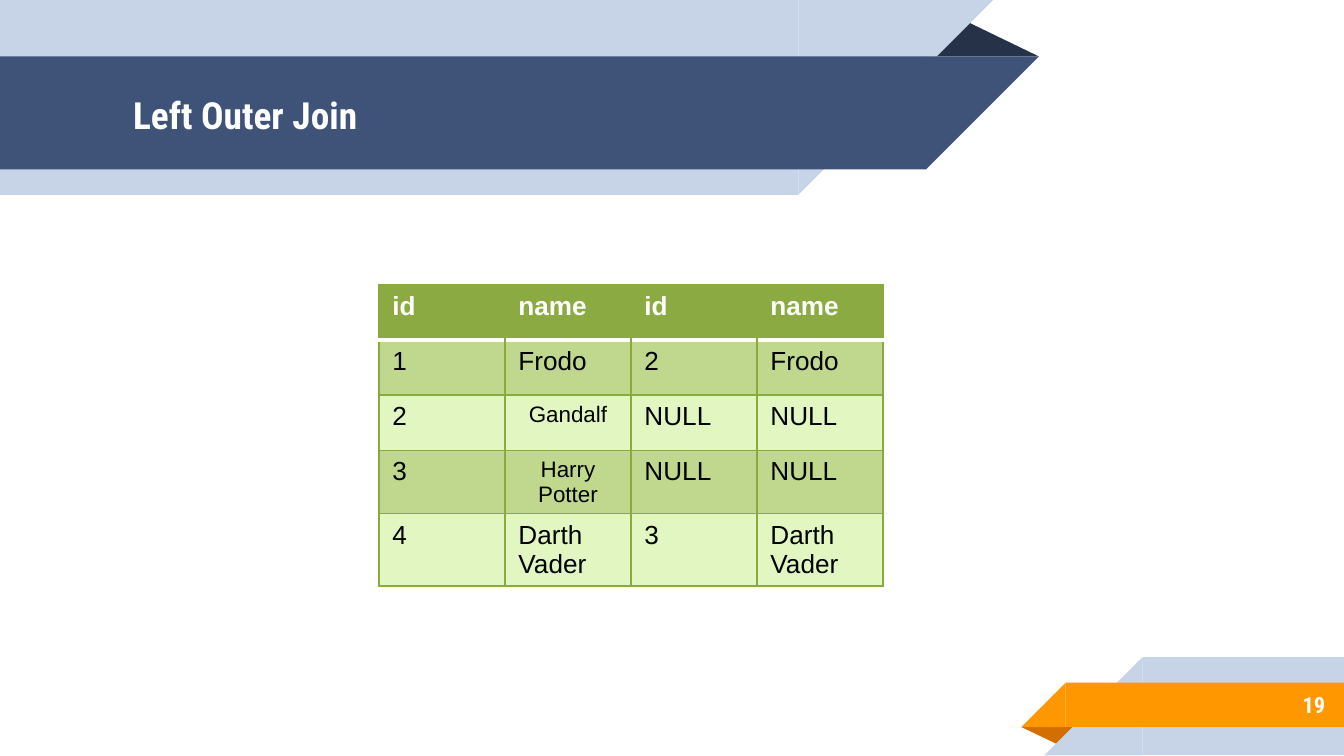
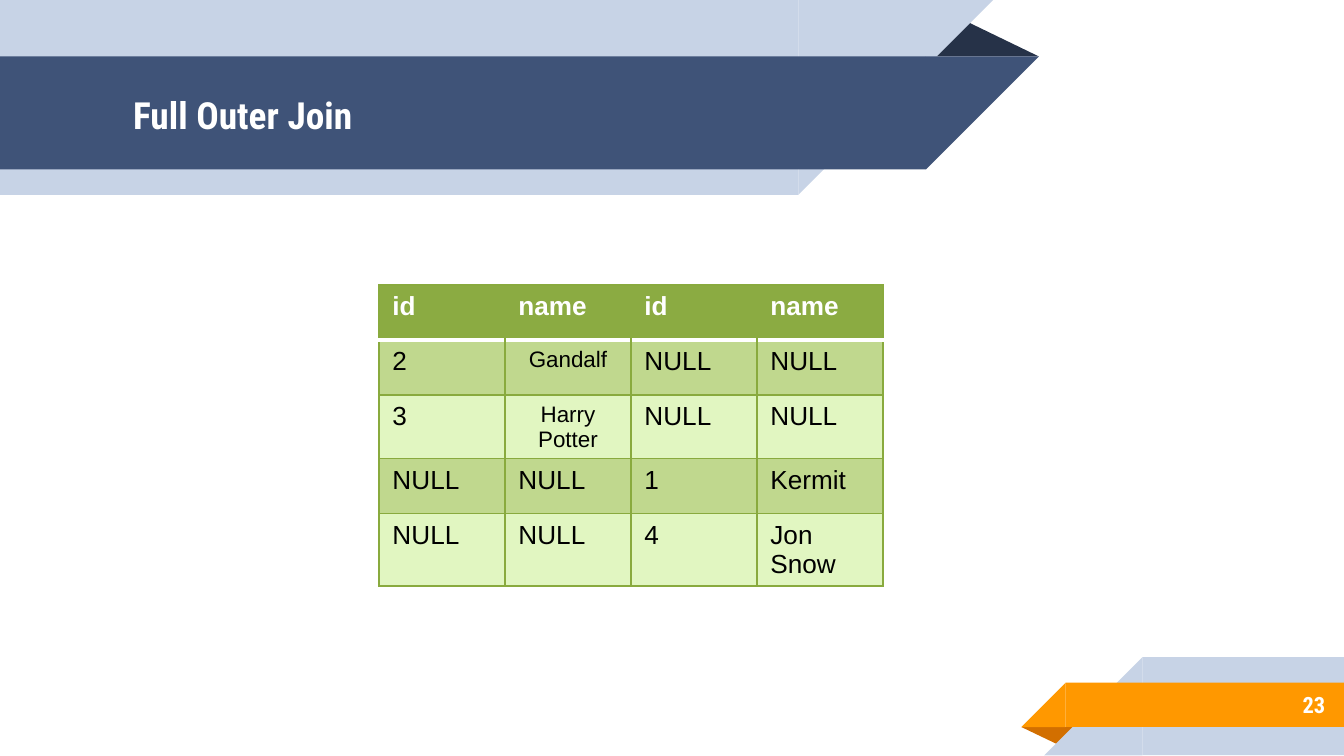
from lxml import etree
from pptx import Presentation
from pptx import util as u
from pptx.dml.color import RGBColor
from pptx.enum import shapes, text
from pptx.oxml import ns

# Shared colours and text formats
PALE, NAVY, DARK_NAVY = "C7D3E6", "3F5378", "263248"
ORANGE, DARK_ORANGE = "FF9800", "D26F00"
WHITE, BLACK = "FFFFFF", "000000"
HEADER_GREEN, LINE_GREEN = "8BAB42", "89AA3E"
ROW_GREENS = ("C0D88E", "E1F6C1")

TITLE_FORMAT = {"name": "Roboto Condensed", "size": u.Pt(20), "bold": True}
NUMBER_FORMAT = {"name": "Roboto Condensed", "size": u.Pt(12), "bold": True}
HEADER_FORMAT = {"name": "Arial", "size": u.Pt(14), "bold": True}
CELL_FORMAT = {"name": "Arial", "size": u.Pt(14), "bold": False}
SMALL_FORMAT = {"name": "Arial", "size": u.Pt(12), "bold": False}

RECTANGLE = shapes.MSO_SHAPE.RECTANGLE
CORNER = shapes.MSO_SHAPE.RIGHT_TRIANGLE
FOLD = shapes.MSO_SHAPE.ISOSCELES_TRIANGLE

# Bands from back to front: kind, box, colour, rotation
HEADER_BANDS = [
    (FOLD, (6.88, 0.14, 0.85, 0.28), DARK_NAVY, 0),
    (RECTANGLE, (0, 0, 5.94, 1.45), PALE, 0),
    (CORNER, (5.94, 0, 1.45, 1.45), PALE, 90),
    (RECTANGLE, (0, 0.42, 6.89, 0.84), NAVY, 0),
    (CORNER, (6.89, 0.42, 0.84, 0.84), NAVY, 90),
]
FOOTER_BANDS = [
    (FOLD, (7.6, 5.41, 0.43, 0.14), DARK_ORANGE, 180),
    (RECTANGLE, (8.5, 4.89, 1.5, 0.73), PALE, 0),
    (CORNER, (7.77, 4.89, 0.73, 0.73), PALE, 270),
    (RECTANGLE, (7.93, 5.08, 2.07, 0.33), ORANGE, 0),
    (CORNER, (7.6, 5.08, 0.33, 0.33), ORANGE, 270),
]

# Slide contents: title, slide number, joined rows
HEADINGS = ["id", "name", "id", "name"]
SMALL_NAMES = {"Gandalf", "Harry Potter"}
JOINS = [
    ("Left Outer Join", "19", [
        ["1", "Frodo", "2", "Frodo"],
        ["2", "Gandalf", "NULL", "NULL"],
        ["3", "Harry Potter", "NULL", "NULL"],
        ["4", "Darth Vader", "3", "Darth Vader"],
    ]),
    ("Full Outer Join", "23", [
        ["2", "Gandalf", "NULL", "NULL"],
        ["3", "Harry Potter", "NULL", "NULL"],
        ["NULL", "NULL", "1", "Kermit"],
        ["NULL", "NULL", "4", "Jon Snow"],
    ]),
]


def color(hex_string):
    return RGBColor.from_string(hex_string)


def inches(*lengths):
    return [u.Inches(length) for length in lengths]


def write(frame, words, font_format, font_color, align=text.PP_ALIGN.LEFT):
    paragraph = frame.paragraphs[0]
    paragraph.alignment = align
    run = paragraph.add_run()
    run.text = words
    for name, value in font_format.items():
        setattr(run.font, name, value)
    run.font.color.rgb = color(font_color)


def set_frame(frame):
    settings = {"word_wrap": True, "auto_size": text.MSO_AUTO_SIZE.NONE,
                "vertical_anchor": text.MSO_ANCHOR.MIDDLE}
    for side in ("left", "right", "top", "bottom"):
        settings["margin_" + side] = u.Inches(0.1)
    for name, value in settings.items():
        setattr(frame, name, value)


def add_bands(slide, bands):
    group = slide.shapes.add_group_shape()
    for kind, box, fill, rotation in bands:
        shape = group.shapes.add_shape(kind, *inches(*box))
        shape.shadow.inherit = False
        shape.fill.solid()
        shape.fill.fore_color.rgb = color(fill)
        shape.line.fill.background()
        shape.rotation = rotation
        if kind == FOLD:
            shape.adjustments[0] = 0.32


def add_title(slide, words):
    title = slide.shapes.title
    title.left, title.top, title.width, title.height = inches(0.89, 0.43, 6.01, 0.84)
    set_frame(title.text_frame)
    write(title.text_frame, words, TITLE_FORMAT, WHITE)
    # Bring the title in front of the bands
    slide.shapes.element.append(title.element)


def add_number(slide, number):
    box = slide.shapes.add_textbox(*inches(8.33, 5.07, 1.63, 0.35))
    set_frame(box.text_frame)
    write(box.text_frame, number, NUMBER_FORMAT, WHITE, text.PP_ALIGN.RIGHT)


def set_borders(cell, borders):
    """Give each side a (colour, points) line, or none."""
    properties = cell._tc.get_or_add_tcPr()
    for side in "LRTB":
        line = etree.SubElement(properties, ns.qn("a:ln" + side))
        if borders[side] is None:
            line.set("w", "0")
            etree.SubElement(line, ns.qn("a:noFill"))
            continue
        line_color, points = borders[side]
        line.set("w", str(u.Pt(points)))
        fill = etree.SubElement(line, ns.qn("a:solidFill"))
        etree.SubElement(fill, ns.qn("a:srgbClr"), val=line_color)


def borders_for(row, column):
    green, white = (LINE_GREEN, 0.75), (WHITE, 2)
    borders = dict.fromkeys("LRTB", green)
    if row == 0:
        borders["B"] = white
        if column > 0:
            borders["L"] = None
        if column < len(HEADINGS) - 1:
            borders["R"] = None
    elif row == 1:
        borders["T"] = white
    return borders


def add_join_table(slide, records):
    rows = [HEADINGS] + records
    frame = slide.shapes.add_table(len(rows), len(HEADINGS),
                                   *inches(2.82, 2.12, 3.75, 2.03))
    table = frame.table
    for table_row in table.rows:
        table_row.height = u.Inches(0.41)
    for row, values in enumerate(rows):
        for column, value in enumerate(values):
            cell = table.cell(row, column)
            set_borders(cell, borders_for(row, column))
            cell.fill.solid()
            fill = ROW_GREENS[(row - 1) % 2] if row else HEADER_GREEN
            cell.fill.fore_color.rgb = color(fill)
            if row == 0:
                write(cell.text_frame, value, HEADER_FORMAT, WHITE)
            elif value in SMALL_NAMES:
                write(cell.text_frame, value, SMALL_FORMAT, BLACK, text.PP_ALIGN.CENTER)
            else:
                write(cell.text_frame, value, CELL_FORMAT, BLACK)


def main():
    presentation = Presentation()
    presentation.slide_width = u.Inches(10)
    presentation.slide_height = u.Inches(10) * 9 // 16
    title_only = presentation.slide_layouts[5]
    for title, number, records in JOINS:
        slide = presentation.slides.add_slide(title_only)
        add_bands(slide, HEADER_BANDS)
        add_bands(slide, FOOTER_BANDS)
        add_title(slide, title)
        add_number(slide, number)
        add_join_table(slide, records)
    presentation.save("out.pptx")


if __name__ == "__main__":
    main()
